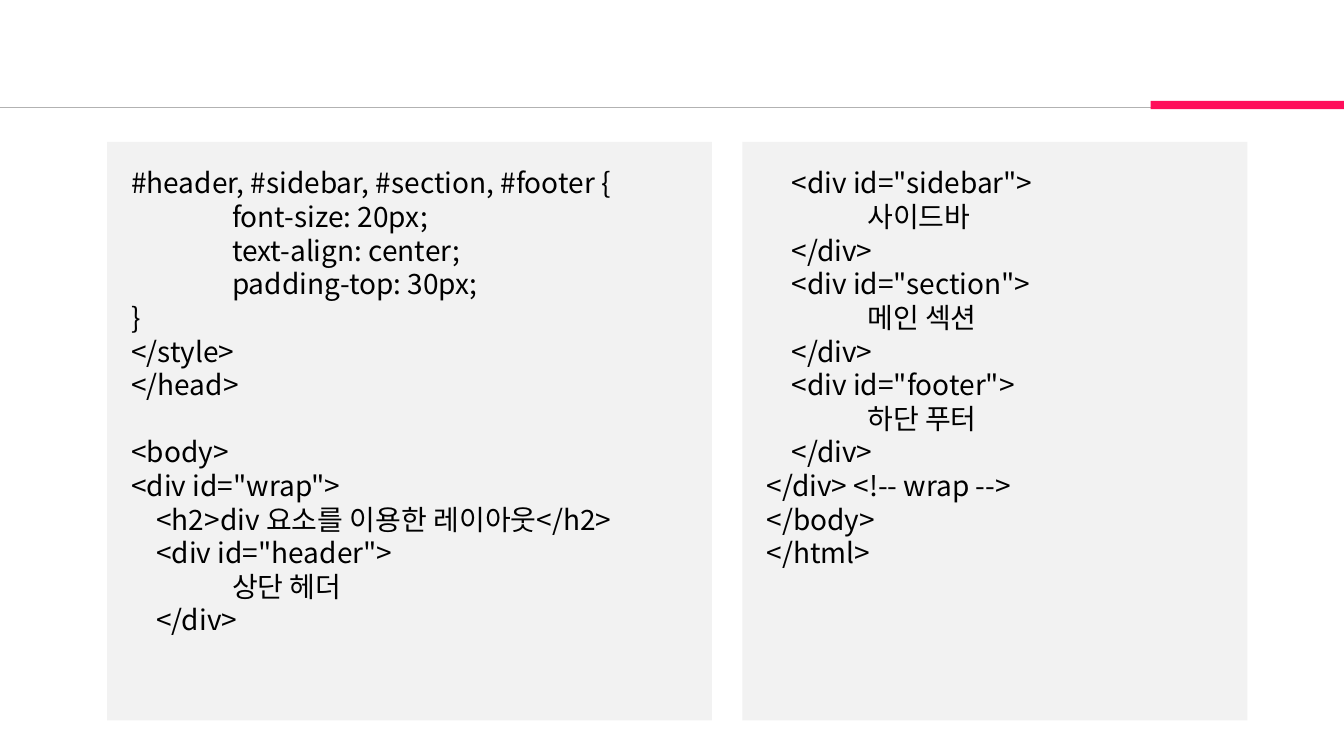
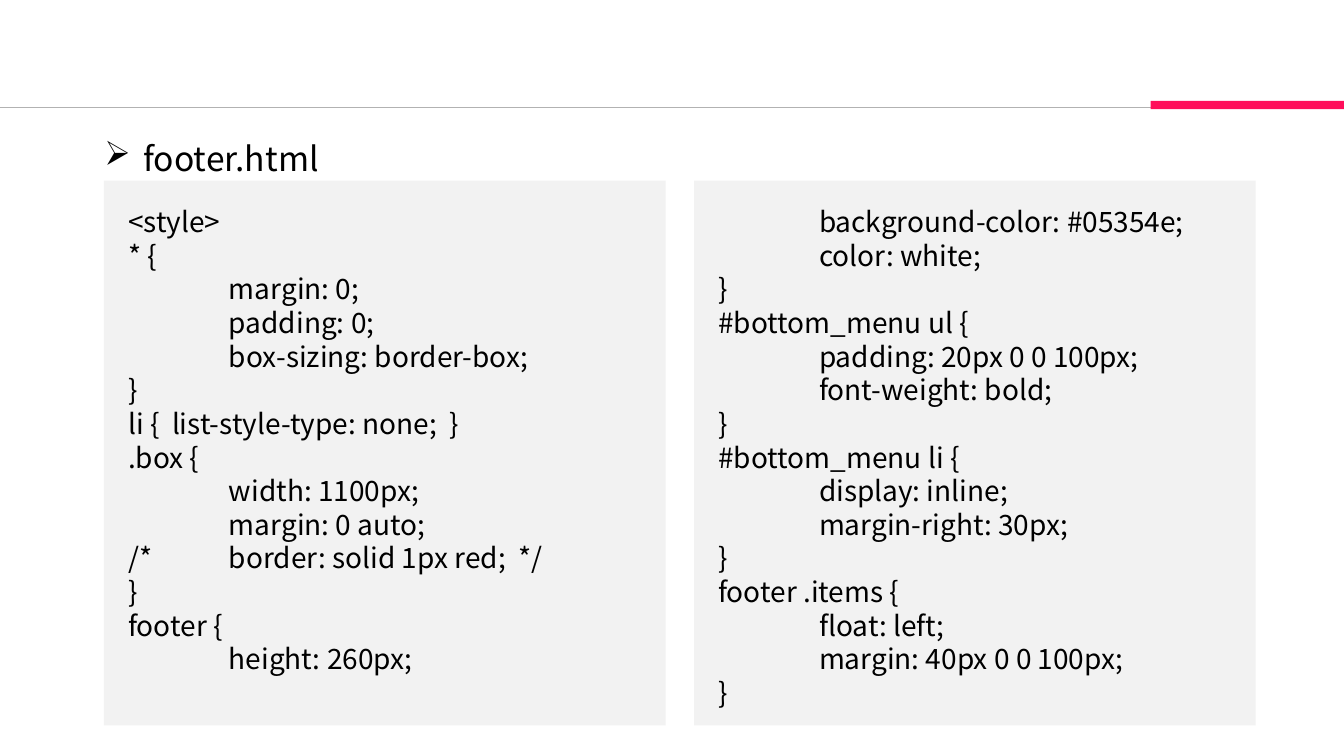
import dataclasses

import lxml.etree
import pptx
import pptx.dml.color
import pptx.enum.shapes
import pptx.enum.text
import pptx.oxml.ns
import pptx.util

PX = 9525
WIDE, HIGH = 1280, 720
FACE = "Noto Sans CJK KR"
HUES = {"text": "000000", "rule": "B2B2B2", "bar": "FF0D5A", "panel": "F2F2F2"}
PAD = 23
SIDES = ("left", "top", "right", "bottom")
TOP = pptx.enum.text.MSO_ANCHOR.TOP
LEFT = pptx.enum.text.PP_ALIGN.LEFT
CODE = {"size": 20, "line": 24}
HEAD = {"size": 24, "line": 44}
FRAME = {"word_wrap": True, "vertical_anchor": TOP}


@dataclasses.dataclass(frozen=True)
class Box:
    left: int
    top: int
    width: int
    height: int

    def place(self) -> tuple[int, ...]:
        return tuple(side * PX for side in dataclasses.astuple(self))


@dataclasses.dataclass(frozen=True)
class Panel:
    box: Box
    code: str


@dataclasses.dataclass(frozen=True)
class Page:
    panels: tuple[Panel, ...]
    title: str = ""


BAR = Box(1096, 96, 184, 8)
TITLE = Box(90, 106, 346, 60)
RULE_TOP = 102
INDENT = 37

STYLE = """#header, #sidebar, #section, #footer {
\tfont-size: 20px;
\ttext-align: center;
\tpadding-top: 30px;
}
</style>
</head>

<body>
<div id="wrap">
    <h2>div 요소를 이용한 레이아웃</h2>
    <div id="header">
\t상단 헤더
    </div>"""

BODY = """    <div id="sidebar">
\t사이드바
    </div>
    <div id="section">
\t메인 섹션
    </div>
    <div id="footer">
\t하단 푸터
    </div>
</div> <!-- wrap -->
</body>
</html>"""

RESET = """<style>
* {
\tmargin: 0;
\tpadding: 0;
\tbox-sizing: border-box;
}
li {  list-style-type: none;  }
.box {
\twidth: 1100px;
\tmargin: 0 auto;
/*\tborder: solid 1px red;  */
}
footer {
\theight: 260px;"""

MENU = """\tbackground-color: #05354e;
\tcolor: white;
}
#bottom_menu ul {
\tpadding: 20px 0 0 100px;
\tfont-weight: bold;
}
#bottom_menu li {
\tdisplay: inline;
\tmargin-right: 30px;
}
footer .items {
\tfloat: left;
\tmargin: 40px 0 0 100px;
}"""

PAGES = (
    Page((Panel(Box(102, 135, 576, 551), STYLE), Panel(Box(707, 135, 481, 551), BODY))),
    Page(
        (Panel(Box(99, 172, 535, 519), RESET), Panel(Box(661, 172, 535, 519), MENU)),
        "footer.html",
    ),
)


def tint(name: str) -> pptx.dml.color.RGBColor:
    return pptx.dml.color.RGBColor.from_string(HUES[name])


def apply(target, values: dict) -> None:
    for name, value in values.items():
        setattr(target, name, value)


def add_tag(owner, tag: str, **values: str):
    return lxml.etree.SubElement(owner, pptx.oxml.ns.qn(tag), values)


def add_block(slide, box: Box, hue: str):
    block = slide.shapes.add_shape(pptx.enum.shapes.MSO_SHAPE.RECTANGLE, *box.place())
    block.shadow.inherit = False
    block.fill.solid()
    block.fill.fore_color.rgb = tint(hue)
    block.line.fill.background()
    return block


def add_chrome(slide) -> None:
    rule = slide.shapes.add_connector(
        pptx.enum.shapes.MSO_CONNECTOR.STRAIGHT,
        0, RULE_TOP * PX, WIDE * PX, RULE_TOP * PX,
    )
    rule.line.color.rgb = tint("rule")
    rule.line.width = pptx.util.Pt(0.5)
    add_tag(rule._element.spPr, "a:effectLst")
    add_block(slide, BAR, "bar")


def write(para, text: str, form: dict) -> None:
    apply(para, {"alignment": LEFT, "line_spacing": pptx.util.Pt(form["line"])})
    if not text:
        return
    run = para.add_run()
    run.text = text
    apply(run.font, {"name": FACE, "size": pptx.util.Pt(form["size"])})
    run.font.color.rgb = tint("text")
    add_tag(run.font._element, "a:ea", typeface=FACE)


def add_code(slide, panel: Panel) -> None:
    frame = add_block(slide, panel.box, "panel").text_frame
    apply(frame, FRAME | {f"margin_{side}": PAD * PX for side in SIDES})
    for spot, row in enumerate(panel.code.split("\n")):
        para = frame.add_paragraph() if spot else frame.paragraphs[0]
        tabs = add_tag(para._p.get_or_add_pPr(), "a:tabLst")
        add_tag(tabs, "a:tab", pos=str(96 * PX), algn="l")
        write(para, row, CODE)


def add_title(slide, text: str) -> None:
    frame = slide.shapes.add_textbox(*TITLE.place()).text_frame
    apply(frame, FRAME)
    para = frame.paragraphs[0]
    props = para._p.get_or_add_pPr()
    props.set("marL", str(INDENT * PX))
    props.set("indent", str(-INDENT * PX))
    add_tag(props, "a:buChar", char="➢")
    write(para, text, HEAD)


def main() -> None:
    deck = pptx.Presentation()
    apply(deck, {"slide_width": WIDE * PX, "slide_height": HIGH * PX})
    for page in PAGES:
        slide = deck.slides.add_slide(deck.slide_layouts[6])
        add_chrome(slide)
        for panel in page.panels:
            add_code(slide, panel)
        if page.title:
            add_title(slide, page.title)
    deck.save("out.pptx")


if __name__ == "__main__":
    main()
